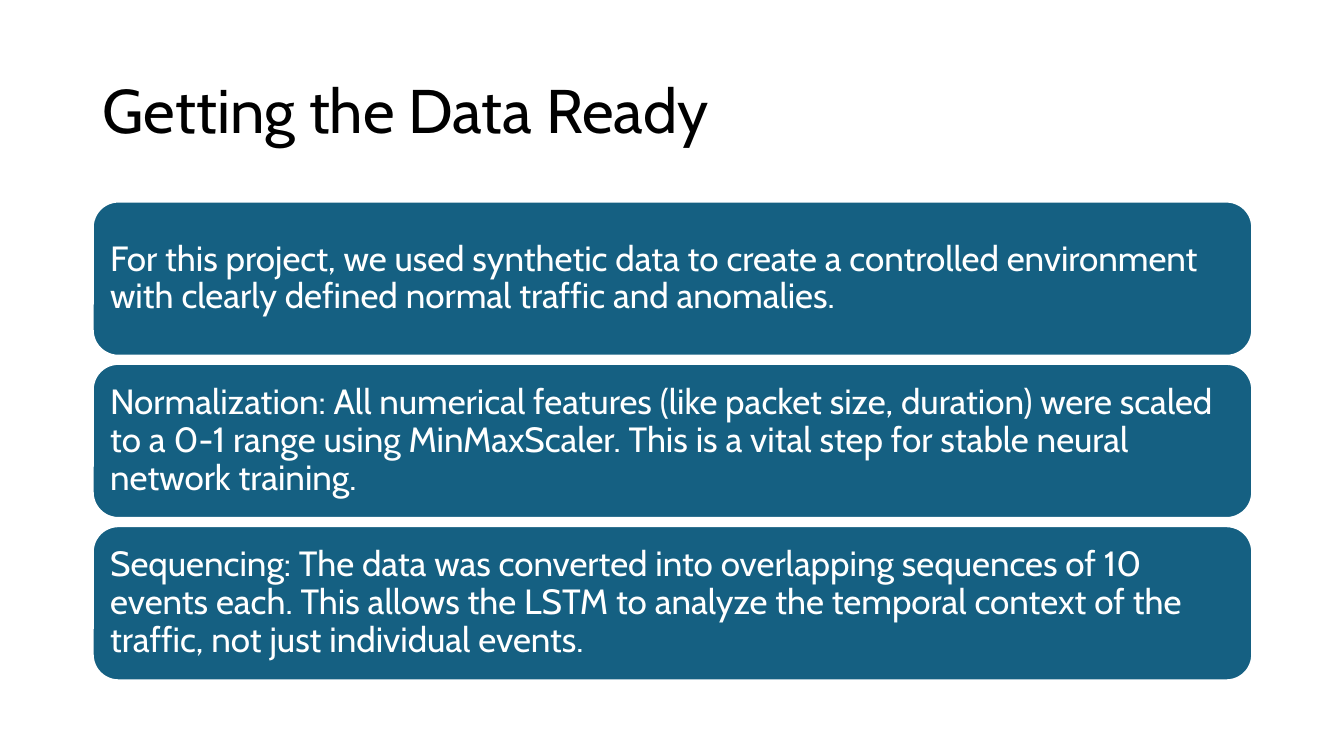
from pptx import Presentation
from pptx.dml.color import RGBColor
from pptx.enum.shapes import MSO_SHAPE
from pptx.enum.text import MSO_ANCHOR, PP_ALIGN
from pptx.util import Inches, Pt

# Content
TITLE = "Getting the Data Ready"
STEPS = [
    "For this project, we used synthetic data to create a controlled environment "
    "with clearly defined normal traffic and anomalies.",
    "Normalization: All numerical features (like packet size, duration) were scaled "
    "to a 0-1 range using MinMaxScaler. This is a vital step for stable neural "
    "network training.",
    "Sequencing: The data was converted into overlapping sequences of 10 events each. "
    "This allows the LSTM to analyze the temporal context of the traffic, not just "
    "individual events.",
]

# Format
BLACK = RGBColor(0x00, 0x00, 0x00)
WHITE = RGBColor(0xFF, 0xFF, 0xFF)
BLUE = RGBColor(0x15, 0x60, 0x82)
ROUNDED = MSO_SHAPE.ROUNDED_RECTANGLE
MIDDLE, LEFT = MSO_ANCHOR.MIDDLE, PP_ALIGN.LEFT
TITLE_FONT = {"name": "Cabin", "size": Pt(44)}
STEP_FONT = {"name": "Cabin", "size": Pt(25)}
STEP_FRAME = dict.fromkeys(
    ("margin_left", "margin_top", "margin_right", "margin_bottom"), Inches(0.1))

# Layout in inches
X, WIDTH = 0.92, 11.5
STEP_TOP, STEP_H, STEP_PITCH = 2, 1.53, 1.61


def set_attrs(obj, values):
    for name, value in values.items():
        setattr(obj, name, value)


def write(shape, text, font, color):
    tf = shape.text_frame
    tf.word_wrap = True
    tf.vertical_anchor = MIDDLE
    p = tf.paragraphs[0]
    p.alignment = LEFT
    p.line_spacing = 0.9
    r = p.add_run()
    r.text = text
    set_attrs(r.font, font)
    r.font.color.rgb = color


prs = Presentation()
prs.slide_width, prs.slide_height = Inches(13.33), Inches(7.5)
s = prs.slides.add_slide(prs.slide_layouts[5])

# Title
title = s.shapes.title
set_attrs(title, {"left": Inches(X), "top": Inches(0.4),
                  "width": Inches(WIDTH), "height": Inches(1.45)})
write(title, TITLE, TITLE_FONT, BLACK)

# Stacked step boxes
for i, step in enumerate(STEPS):
    box = s.shapes.add_shape(ROUNDED, Inches(X), Inches(STEP_TOP + i * STEP_PITCH),
                             Inches(WIDTH), Inches(STEP_H))
    box.shadow.inherit = False
    box.fill.solid()
    box.fill.fore_color.rgb = BLUE
    box.line.color.rgb = WHITE
    box.line.width = Pt(1.5)
    set_attrs(box.text_frame, STEP_FRAME)
    write(box, step, STEP_FONT, WHITE)

prs.save("out.pptx")
